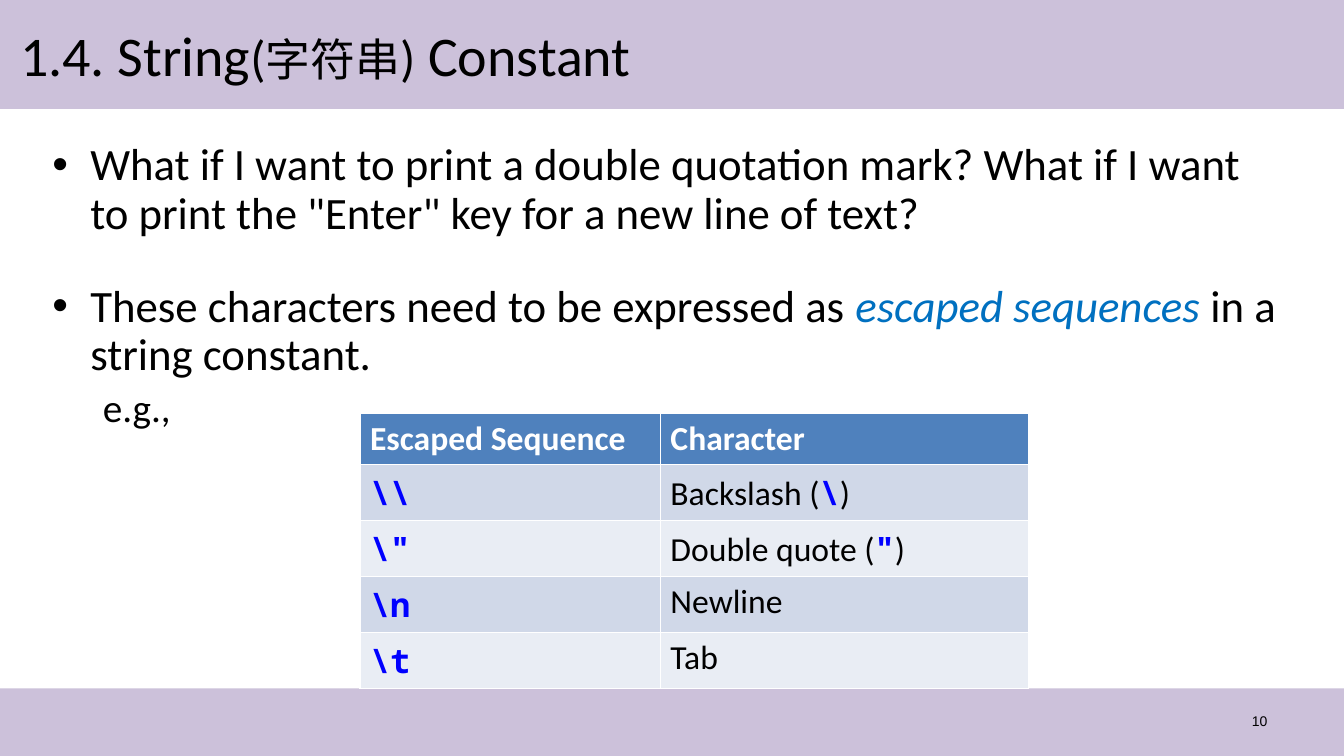
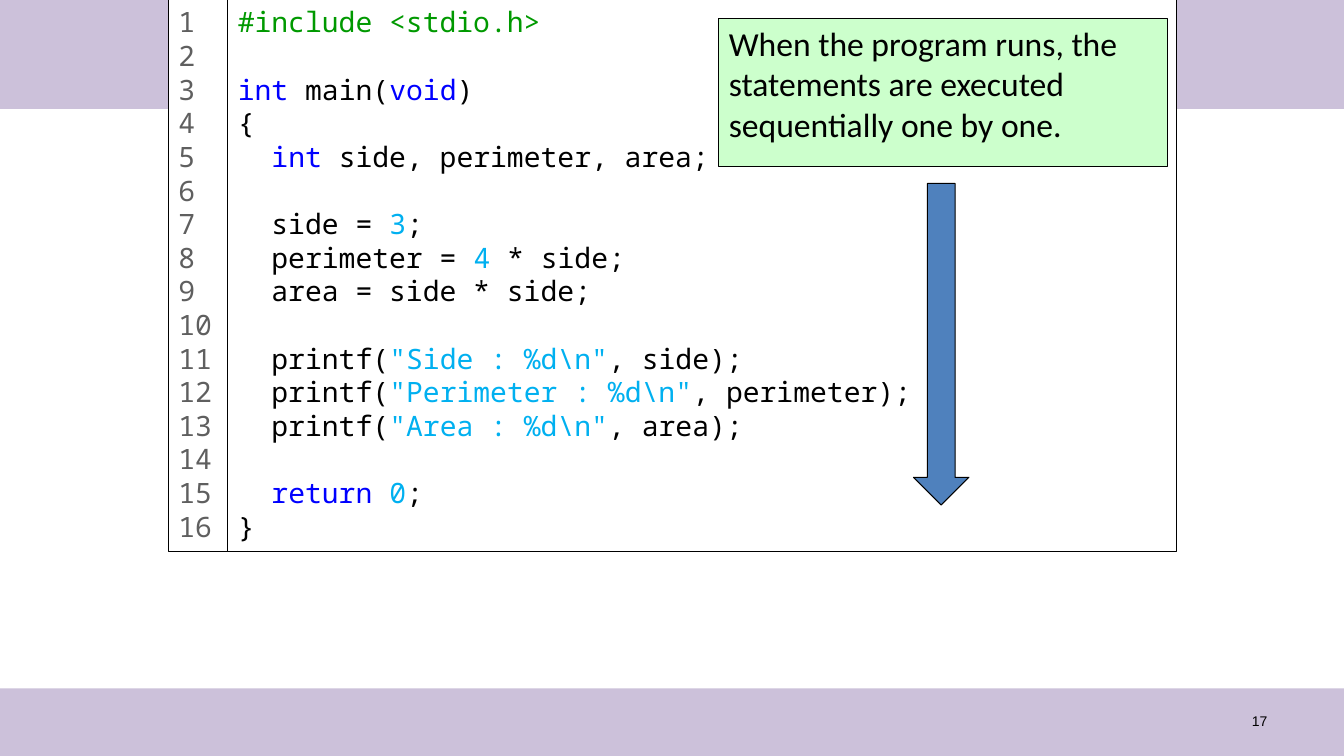
from lxml.etree import SubElement
from pptx import Presentation
from pptx.dml.color import RGBColor
from pptx.enum.shapes import MSO_SHAPE
from pptx.enum.text import MSO_ANCHOR, MSO_AUTO_SIZE, PP_ALIGN
from pptx.oxml.ns import qn
from pptx.util import Inches, Pt

# Shared colours and fonts
BLACK = RGBColor(0x00, 0x00, 0x00)
WHITE = RGBColor(0xFF, 0xFF, 0xFF)
LILAC = RGBColor(0xCC, 0xC1, 0xDA)
ACCENT = RGBColor(0x4F, 0x81, 0xBD)
ROW_DARK = RGBColor(0xD0, 0xD8, 0xE8)
ROW_LIGHT = RGBColor(0xE9, 0xED, 0xF4)
TERM_BLUE = RGBColor(0x00, 0x70, 0xC0)
KEYWORD = RGBColor(0x00, 0x00, 0xFF)
LITERAL = RGBColor(0x00, 0xB0, 0xF0)
DIRECTIVE = RGBColor(0x00, 0x99, 0x00)
LINE_NUMBER = RGBColor(0x5F, 0x5F, 0x5F)
NOTE_GREEN = RGBColor(0xCC, 0xFF, 0xCC)
SANS, MONO, NUMBER_FONT = "Calibri", "Noto Sans Mono", "Arial"

SLIDE_W, SLIDE_H = 13.33, 7.5
HEADER_H, FOOTER_H = 1.08, 0.67


def code(text):
    return text, dict(font=MONO, color=KEYWORD, bold=True)


def keyword(text):
    return text, dict(color=KEYWORD)


def literal(text):
    return text, dict(color=LITERAL)


ESCAPES = [
    (r"\\", ["Backslash (", code("\\"), ")"]),
    (r"\"", ["Double quote (", code('"'), ")"]),
    (r"\n", ["Newline"]),
    (r"\t", ["Tab"]),
]

PROGRAM = [
    [("#include <stdio.h>", dict(color=DIRECTIVE))],
    [],
    [keyword("int"), " main(", keyword("void"), ")"],
    ["{"],
    ["  ", keyword("int"), " side, perimeter, area;"],
    [],
    ["  side = ", literal("3"), ";"],
    ["  perimeter = ", literal("4"), " * side;"],
    ["  area = side * side;"],
    [],
    ["  printf(", literal(r'"Side : %d\n"'), ", side);"],
    ["  printf(", literal(r'"Perimeter : %d\n"'), ", perimeter);"],
    ["  printf(", literal(r'"Area : %d\n"'), ", area);"],
    [],
    ["  ", keyword("return "), literal("0"), ";"],
    ["}"],
]


def add_run(p, text, size=20, font=SANS, color=BLACK, bold=False, italic=False):
    r = p.add_run()
    r.text = text
    r.font.size, r.font.name = Pt(size), font
    r.font.bold, r.font.italic = bold, italic
    r.font.color.rgb = color


def write(tf, paragraphs, align=PP_ALIGN.LEFT, **fmt):
    """Each paragraph is a list of runs: a string, or (string, own format)."""
    for i, runs in enumerate(paragraphs):
        p = tf.add_paragraph() if i else tf.paragraphs[0]
        p.alignment = align
        for run in runs:
            text, own = (run, {}) if isinstance(run, str) else run
            add_run(p, text, **{**fmt, **own})
        if not runs:  # an empty code line keeps the height of the others
            end = SubElement(p._p, qn("a:endParaRPr"), sz=str(fmt["size"] * 100))
            SubElement(end, qn("a:latin"), typeface=fmt["font"])


def place(sp, left, top, width, height):
    sp.left, sp.top = Inches(left), Inches(top)
    sp.width, sp.height = Inches(width), Inches(height)


def setup_frame(tf, anchor=MSO_ANCHOR.TOP):
    tf.word_wrap = True
    tf.auto_size = MSO_AUTO_SIZE.NONE
    tf.vertical_anchor = anchor
    return tf


def add_box(s, at, fill, outlined=True, shape=MSO_SHAPE.RECTANGLE):
    sp = s.shapes.add_shape(shape, *map(Inches, at))
    sp.shadow.inherit = False
    sp.fill.solid()
    sp.fill.fore_color.rgb = fill
    if outlined:
        sp.line.color.rgb = BLACK
        sp.line.width = Pt(0.75)
    else:
        sp.line.fill.background()
    setup_frame(sp.text_frame)
    return sp


def add_master_bands(prs, s):
    """Draw the bands on a slide, then move them to the back of the master."""
    tree = prs.slide_master.shapes.element
    bands = [(0, HEADER_H), (SLIDE_H - FOOTER_H, FOOTER_H)]
    for i, (top, height) in enumerate(bands):
        band = add_box(s, (0, top, SLIDE_W, height), LILAC, outlined=False)
        band.element.xpath(".//p:cNvPr")[0].set("id", str(101 + i))
        tree.insert(2 + i, band.element)


def add_slide_number(s, number):
    sp = s.shapes.add_textbox(*map(Inches, (9.56, 6.95, 3.11, 0.4)))
    write(setup_frame(sp.text_frame, MSO_ANCHOR.MIDDLE), [[str(number)]],
          align=PP_ALIGN.RIGHT, size=10, font=NUMBER_FONT)


def add_title(s, runs):
    place(s.shapes.title, 0.1, 0.08, 12, 0.92)
    write(setup_frame(s.shapes.title.text_frame, MSO_ANCHOR.MIDDLE), [runs], size=40)


def add_body(s, paragraphs, spaces):
    body = s.placeholders[1]
    place(body, 0.42, 1.36, 12.42, 5.59)
    tf = setup_frame(body.text_frame)
    write(tf, paragraphs, size=32)
    for p, space in zip(tf.paragraphs, spaces):
        p.line_spacing = 0.9
        p.space_before = Pt(space)
    return tf


def remove_bullet(p, indent):
    p.level = 1
    pPr = p._p.get_or_add_pPr()
    pPr.set("marL", str(Inches(indent)))
    pPr.set("indent", "0")
    SubElement(pPr, qn("a:buNone"))


def fill_cell(cell, runs, fill, **fmt):
    cell.fill.solid()
    cell.fill.fore_color.rgb = fill
    write(cell.text_frame, [runs], size=24, **fmt)


def add_escape_table(s):
    widths, row_h = (2.98, 3.65), 0.41
    rows = len(ESCAPES) + 1
    table = s.shapes.add_table(rows, 2, Inches(3.57), Inches(4.1),
                               Inches(sum(widths)), Inches(row_h * rows)).table
    for column, width in zip(table.columns, widths):
        column.width = Inches(width)
    for c, heading in enumerate(("Escaped Sequence", "Character")):
        fill_cell(table.cell(0, c), [heading], ACCENT, color=WHITE, bold=True)
    for i, (sequence, meaning) in enumerate(ESCAPES, start=1):
        fill = ROW_DARK if i % 2 else ROW_LIGHT
        fill_cell(table.cell(i, 0), [code(sequence)], fill)
        fill_cell(table.cell(i, 1), meaning, fill)


def build_string_slide(s):
    add_title(s, ["1.4. String", ("(", dict(size=36)), ("字符串", dict(size=32)),
                  (")", dict(size=36)), " Constant"])
    tf = add_body(s, [
        ["What if I want to print a double quotation mark? "
         'What if I want to print the "Enter" key for a new line of text?'],
        ["These characters need to be expressed as ",
         ("escaped sequences", dict(color=TERM_BLUE, italic=True)),
         " in a string constant."],
        [("e.g.,", dict(size=28))],
    ], spaces=(0, 32, 5.6))
    remove_bullet(tf.paragraphs[-1], 0.5)
    add_escape_table(s)


def build_program_slide(s):
    # Listing with its line numbers
    listing_h, gutter_left, gutter_w = 5.47, 1.67, 0.59
    listing = add_box(s, (gutter_left + gutter_w, 0, 9.41, listing_h), WHITE)
    write(listing.text_frame, PROGRAM, size=20, font=MONO)
    gutter = add_box(s, (gutter_left, 0, gutter_w, listing_h), WHITE)
    gutter.text_frame.margin_right = 0
    write(gutter.text_frame, [[str(n)] for n in range(1, len(PROGRAM) + 1)],
          size=20, font=MONO, color=LINE_NUMBER)

    # Note and direction of execution
    note = add_box(s, (7.13, 0.18, 4.45, 1.47), NOTE_GREEN)
    write(note.text_frame, [["When the program runs, the statements are "
                             "executed sequentially one by one."]], size=24)
    add_box(s, (9.06, 1.82, 0.55, 3.19), ACCENT, shape=MSO_SHAPE.DOWN_ARROW)


def main():
    prs = Presentation()
    prs.slide_width, prs.slide_height = Inches(SLIDE_W), Inches(SLIDE_H)
    content_layout, blank_layout = prs.slide_layouts[1], prs.slide_layouts[6]

    s = prs.slides.add_slide(content_layout)
    add_master_bands(prs, s)
    add_slide_number(s, 10)
    build_string_slide(s)

    s = prs.slides.add_slide(blank_layout)
    add_slide_number(s, 17)
    build_program_slide(s)

    prs.save("out.pptx")


if __name__ == "__main__":
    main()
